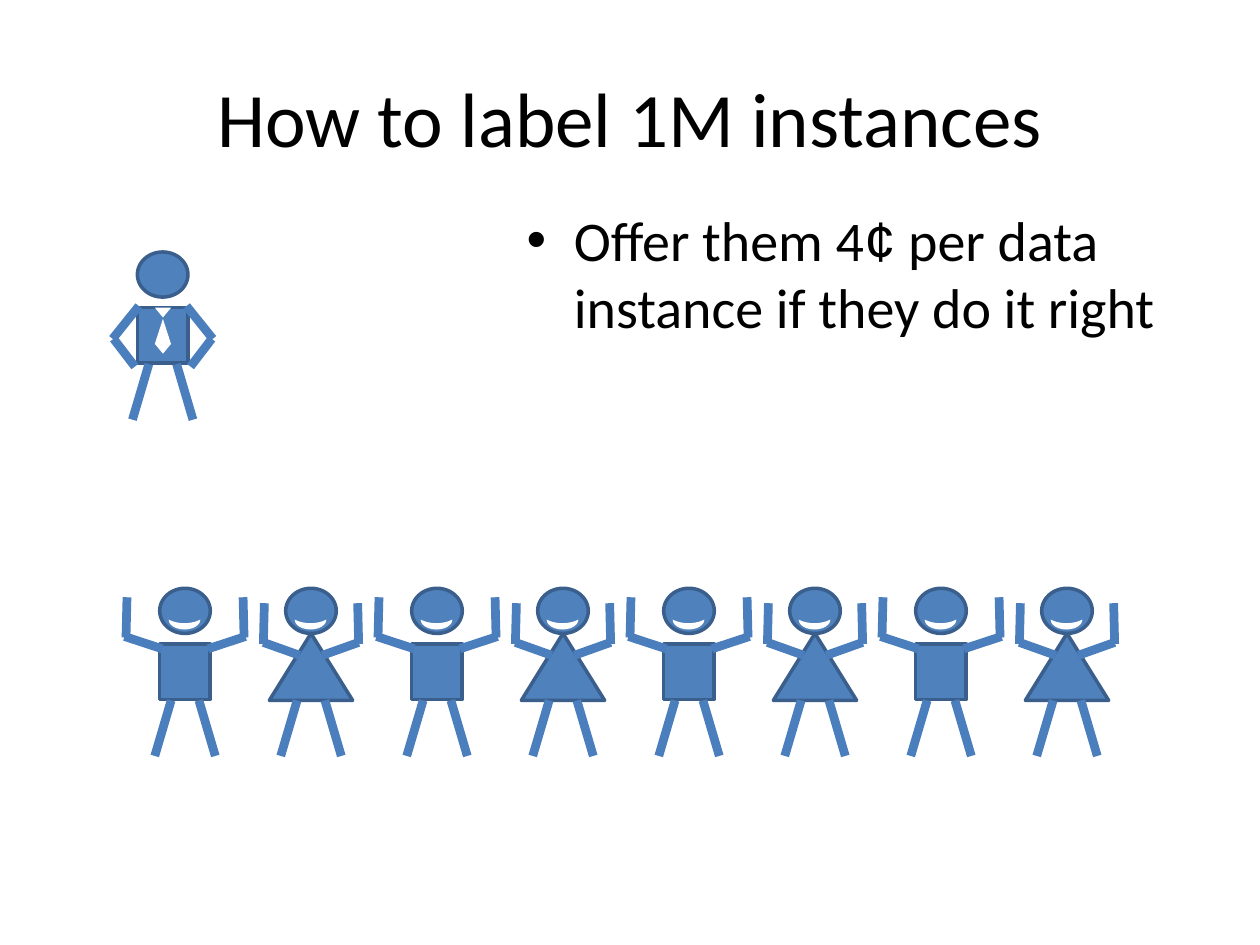
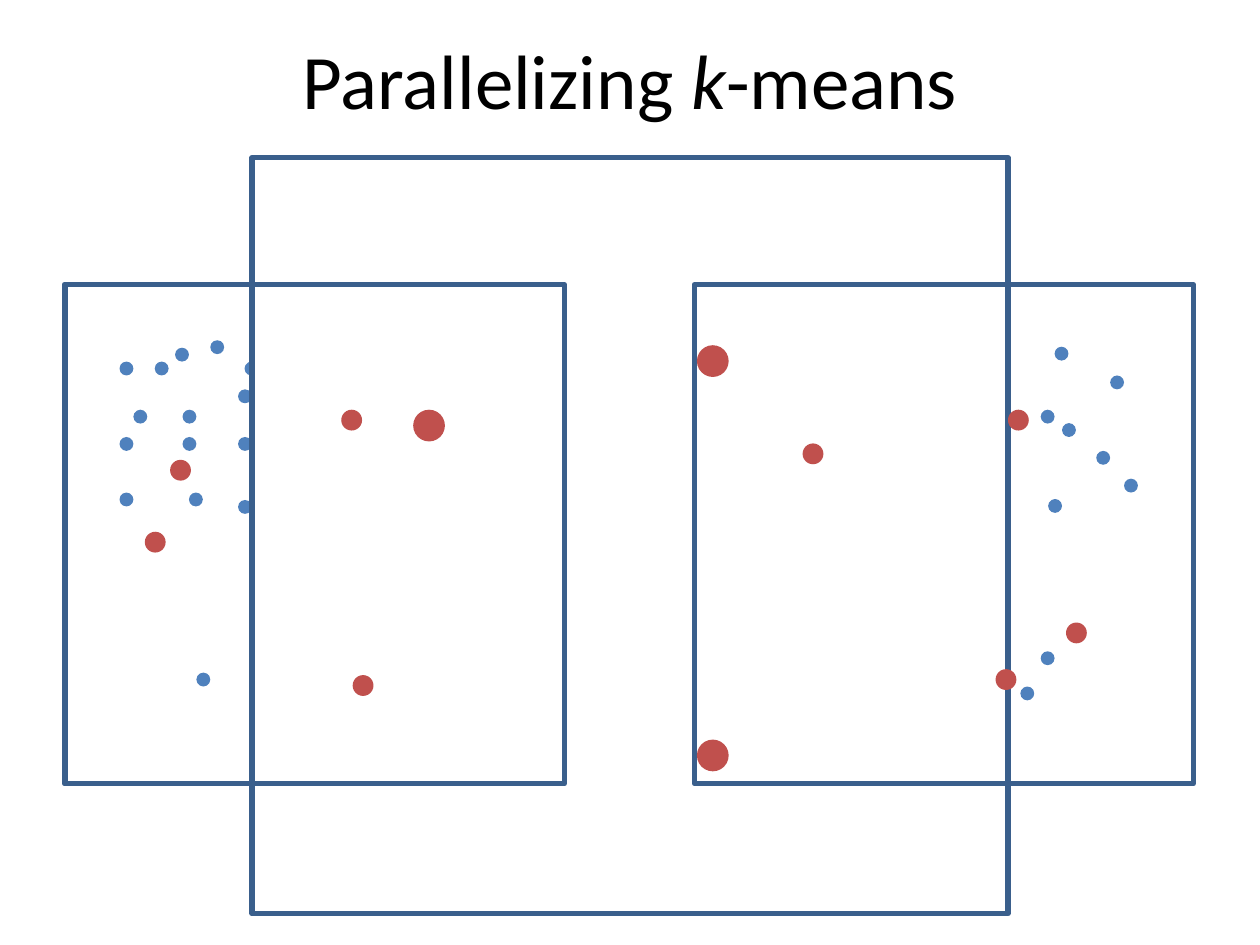
import pptx
import pptx.dml.color
import pptx.enum.shapes
import pptx.enum.text
import pptx.util
from lxml import etree

Cm = pptx.util.Cm
Pt = pptx.util.Pt
RGBColor = pptx.dml.color.RGBColor
KIND = pptx.enum.shapes.MSO_SHAPE
TEXT = pptx.enum.text

BLACK = RGBColor(0x00, 0x00, 0x00)
WHITE = RGBColor(0xFF, 0xFF, 0xFF)
BLUE = RGBColor(0x4F, 0x81, 0xBD)
NAVY = RGBColor(0x3A, 0x5F, 0x8C)
LIMB = RGBColor(0x4B, 0x7E, 0xBC)
RED = RGBColor(0xC0, 0x50, 0x4D)
FONT = "Calibri"
DRAW = "http://schemas.openxmlformats.org/drawingml/2006/main"

# All lengths are in cm; people are measured from the top left of the head.
HEAD = 1.02
LEG = (0.79, 2.26, 1.12, 3.38)
ARMS = {
    "man": [(1.68, 0.18, 1.7, 0.99), (1.73, 0.97, 0.97, 1.22)],
    "woman": [(1.45, 0.3, 1.47, 1.12), (1.47, 1.09, 0.74, 1.35)],
    "boss": [(0.99, 1.09, 1.52, 1.75), (1.5, 1.75, 1.07, 2.31)],
}
TIE = [(1.35, 0.51, 0), (1.85, 0.2, 180), (1.12, 0.2, 180)]  # top, height, turn

DOT, MEAN, BIG = 0.28, 0.42, 0.64
LEFT_DOTS = [
    (4.24, 6.86), (3.53, 7.01), (3.12, 7.29), (4.93, 7.29), (2.41, 7.29),
    (3.68, 8.26), (4.8, 7.85), (2.69, 8.26), (4.8, 8.81), (2.41, 8.81),
    (3.68, 8.81), (2.41, 9.93), (3.81, 9.93), (4.8, 10.08), (3.96, 13.56),
]
RIGHT_DOTS = [
    (22.1, 9.09), (20.98, 8.26), (21.26, 6.99), (21.13, 10.06), (22.38, 7.57),
    (21.41, 8.53), (22.66, 9.65), (20.57, 13.84), (20.98, 13.13),
]
LOOSE_MEANS = [(2.92, 10.72), (21.49, 12.55)]
RIGHT_MEANS = [(16.18, 8.94), (20.07, 13.49), (20.32, 8.26)]
LEFT_MEANS = [(3.43, 9.27), (6.88, 8.26), (7.11, 13.61)]
BIG_MEANS = [(8.33, 8.26), (14.05, 6.96), (14.05, 14.91)]
PANE_TOP, PANE = 5.74, 10.06


class Deck:
    def __init__(self):
        self.prs = pptx.Presentation()
        self.prs.slide_width, self.prs.slide_height = Cm(25.4), Cm(19.05)

    def start(self, layout):
        self.slide = self.prs.slides.add_slide(self.prs.slide_layouts[layout])
        self.host = self.slide.shapes

    def group(self):
        """Send the next elements to a new group."""
        self.host = self.slide.shapes.add_group_shape().shapes

    def leave(self):
        """Send the next elements to the slide again."""
        self.host = self.slide.shapes

    def place(self, holder, box, size, runs):
        """Fill a placeholder with one paragraph of (text, font, italic) runs."""
        holder.left, holder.top, holder.width, holder.height = map(Cm, box)
        frame = holder.text_frame
        frame.auto_size = TEXT.MSO_AUTO_SIZE.NONE
        para = frame.paragraphs[0]
        para.space_before = Pt(0)
        para.font.size = Pt(size)
        para.font.color.rgb = BLACK
        for text, font, italic in runs:
            run = para.add_run()
            run.text = text
            run.font.name = font
            if italic:
                run.font.italic = True
        return para

    def title(self, top, *runs):
        holder = self.slide.shapes.title
        para = self.place(holder, (1.27, top, 22.86, 3.18), 44, runs)
        para.alignment = TEXT.PP_ALIGN.CENTER
        holder.text_frame.vertical_anchor = TEXT.MSO_ANCHOR.MIDDLE

    def body(self, box, *runs):
        self.place(self.slide.placeholders[1], box, 32, runs)

    def shape(self, kind, box, fill=None, line=0, turn=0):
        item = self.host.add_shape(kind, *map(Cm, box))
        item.shadow.inherit = False
        item.rotation = turn
        if fill is None:
            item.fill.background()
        else:
            item.fill.solid()
            item.fill.fore_color.rgb = fill
        if line:
            item.line.color.rgb = NAVY
            item.line.width = Pt(line)
        else:
            item.line.fill.background()
        return item

    def limb(self, *ends):
        item = self.host.add_connector(
            pptx.enum.shapes.MSO_CONNECTOR.STRAIGHT, *map(Cm, ends))
        item.line.color.rgb = LIMB
        item.line.width = Pt(5)
        etree.SubElement(item._element.spPr, f"{{{DRAW}}}effectLst")

    def pair(self, x, y, x1, y1, x2, y2):
        """Draw a limb and its mirror on the other side of the body."""
        self.limb(x + x1, y + y1, x + x2, y + y2)
        self.limb(x + HEAD - x1, y + y1, x + HEAD - x2, y + y2)

    def person(self, role, x, y):
        self.group()
        self.shape(KIND.OVAL, (x, y, HEAD, 0.91), BLUE, 2)
        if role == "woman":
            dress = (x - 0.33, y + 0.91, 1.68, 1.35)
            self.shape(KIND.ISOSCELES_TRIANGLE, dress, BLUE, 2)
        else:
            self.shape(KIND.RECTANGLE, (x, y + 1.12, HEAD, 1.12), BLUE, 2)
        for ends in ARMS[role] + [LEG]:
            self.pair(x, y, *ends)
        if role == "boss":
            for top, high, turn in TIE:
                self.shape(KIND.ISOSCELES_TRIANGLE,
                           (x + 0.35, y + top, 0.33, high), WHITE, turn=turn)
        self.leave()

    def smile(self, x, y):
        moon = self.shape(KIND.MOON, (x + 0.4, y + 0.41, 0.2, 0.64),
                          WHITE, turn=270)
        moon.adjustments[0] = 0.64

    def dots(self, spots, size, fill):
        for x, y in spots:
            self.shape(KIND.OVAL, (x, y, size, size), fill)

    def square(self, x, y, size, fill=None):
        self.shape(KIND.RECTANGLE, (x, y, size, size), fill, 3)


def label_slide(deck):
    deck.start(1)
    deck.title(0.76, ("How to label 1M instances", FONT, False))
    deck.body((10.36, 4.01, 13.97, 6.55),
              ("Offer them 4", FONT, False), ("¢", "Arial", False),
              (" per data instance if they do it right", FONT, False))
    deck.person("boss", 2.77, 5.08)
    top = 11.86
    crowd = [3.22 + 2.54 * i for i in range(8)]
    for i, x in enumerate(crowd):
        deck.person("woman" if i % 2 else "man", x, top)
    for x in crowd:
        deck.smile(x, top)


def means_slide(deck):
    deck.start(5)
    deck.title(0, ("Parallelizing ", FONT, False), ("k", FONT, True),
               ("-means", FONT, False))
    deck.dots(LEFT_DOTS + RIGHT_DOTS, DOT, BLUE)
    deck.square(1.3, PANE_TOP, PANE)
    deck.dots(LOOSE_MEANS, MEAN, RED)
    deck.square(5.08, 3.18, 15.24, WHITE)
    for spots, x in ((RIGHT_MEANS, 14), (LEFT_MEANS, 1.32)):
        deck.group()
        deck.dots(spots, MEAN, RED)
        deck.square(x, PANE_TOP, PANE)
        deck.leave()
    deck.dots(BIG_MEANS, BIG, RED)


def main():
    deck = Deck()
    label_slide(deck)
    means_slide(deck)
    deck.prs.save("out.pptx")


if __name__ == "__main__":
    main()
